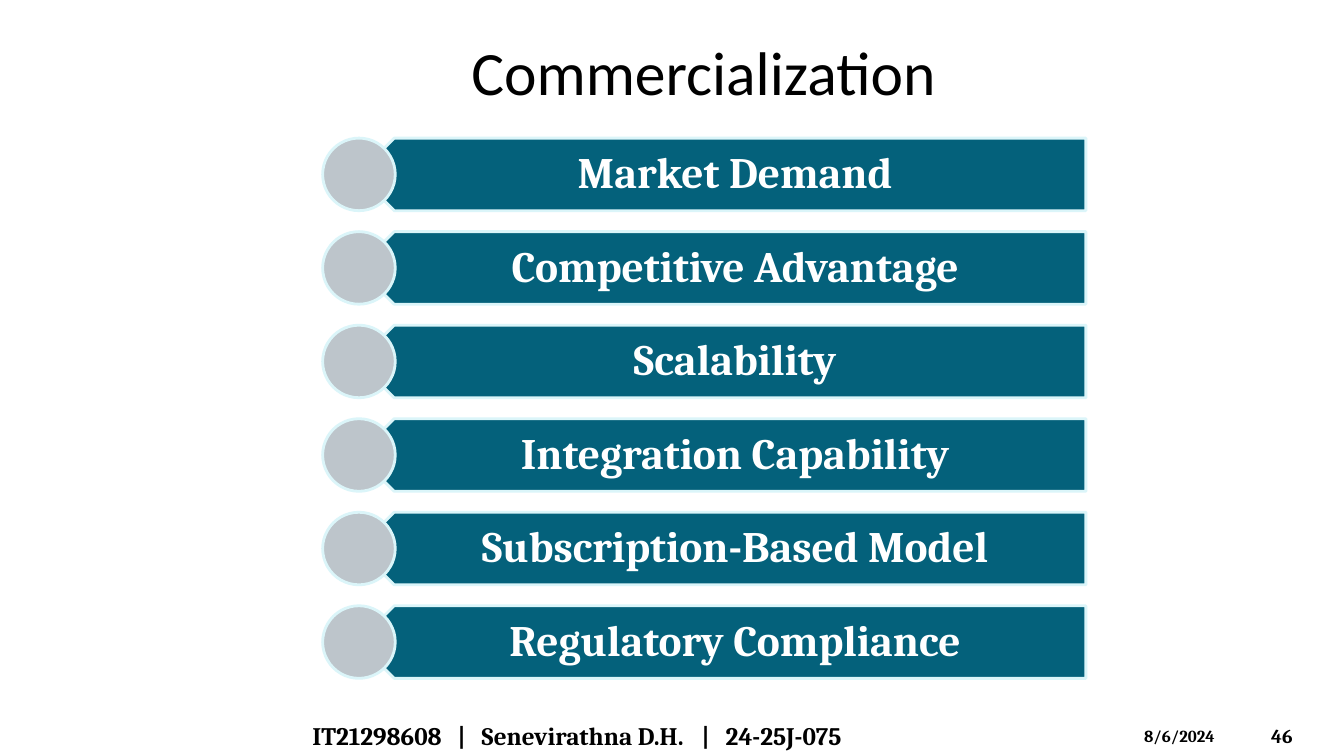
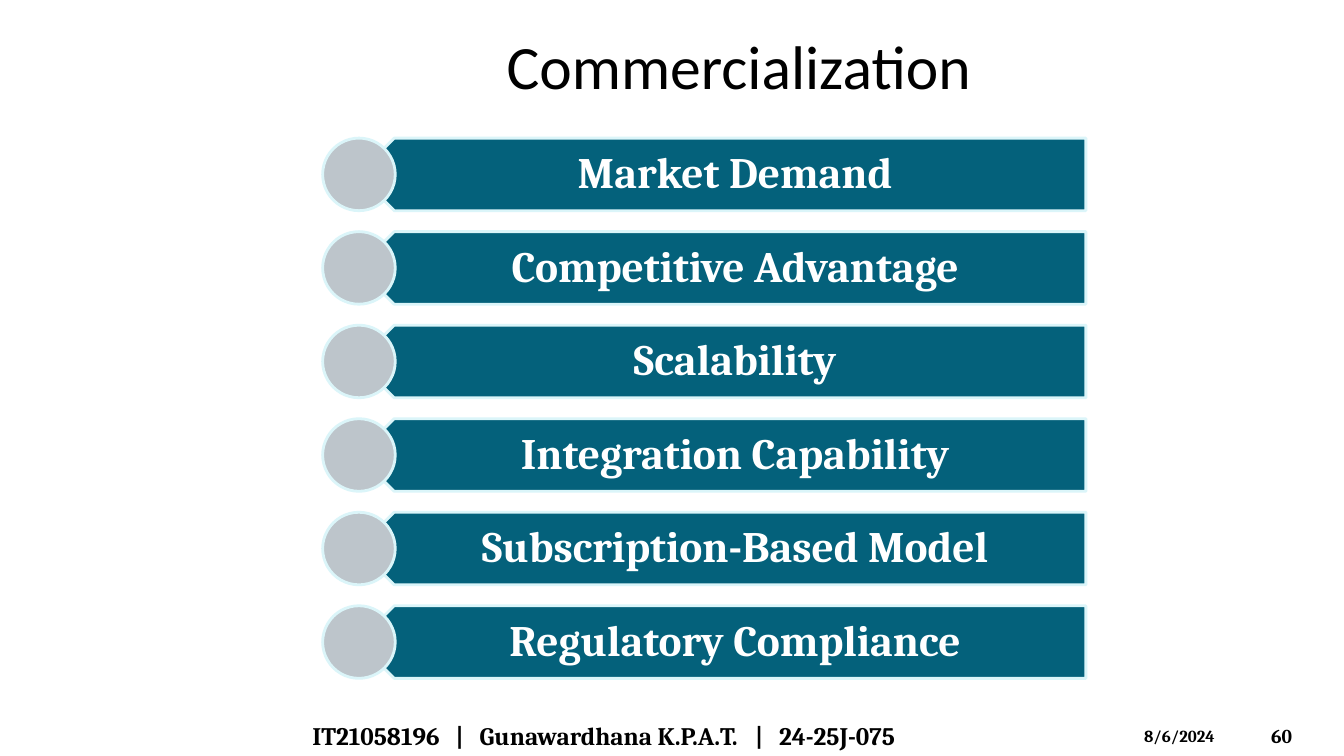
import pptx
import pptx.util
import pptx.dml.color
import pptx.enum.shapes
import pptx.enum.text
from lxml import etree

Inches = pptx.util.Inches
Pt = pptx.util.Pt
SHAPE = pptx.enum.shapes.MSO_SHAPE
ALIGN = pptx.enum.text.PP_ALIGN
ANCHOR = pptx.enum.text.MSO_ANCHOR

TITLE = "Commercialization"
DATE = "8/6/2024"
FACTORS = [
    "Market Demand",
    "Competitive Advantage",
    "Scalability",
    "Integration Capability",
    "Subscription-Based Model",
    "Regulatory Compliance",
]
SLIDES = [
    {"number": "46", "title_at": (4.51, 0.25), "columns": (1.68, 4.1),
     "author": ("IT21298608", "Senevirathna D.H.", "24-25J-075")},
    {"number": "60", "title_at": (4.86, 0.19), "columns": (1.66, 4.63),
     "author": ("IT21058196", "Gunawardhana K.P.A.T.", "24-25J-075")},
]

BLACK, WHITE = "000000", "FFFFFF"
TEAL, GREY, PALE = "04617B", "BDC5CB", "DBF5F9"
HEADING_FONT, BODY_FONT = "Calibri", "Cambria"

FIRST_TOP, LAST_TOP = 1.37, 6.01
ROW_HEIGHT = 0.72
DOT_LEFT = 3.2
BAR_LEFT, BAR_WIDTH = 3.55, 7.22
SEPARATOR_GAP = 0.24


def color(value):
    return pptx.dml.color.RGBColor.from_string(value)


def write(shape, text, size, font=BODY_FONT, fill=BLACK, bold=True,
          align=ALIGN.LEFT, anchor=ANCHOR.TOP):
    frame = shape.text_frame
    frame.word_wrap = True
    frame.vertical_anchor = anchor
    paragraph = frame.paragraphs[0]
    paragraph.text = text
    paragraph.alignment = align
    paragraph.font.name = font
    paragraph.font.size = Pt(size)
    paragraph.font.bold = bold
    paragraph.font.color.rgb = color(fill)
    return paragraph


def add_text(slide, box, text, size, **style):
    return write(slide.shapes.add_textbox(*map(Inches, box)), text, size, **style)


def add_outlined(slide, kind, box, fill):
    shape = slide.shapes.add_shape(kind, *map(Inches, box))
    shape.shadow.inherit = False
    shape.fill.solid()
    shape.fill.fore_color.rgb = color(fill)
    shape.line.color.rgb = color(PALE)
    shape.line.width = Pt(2)
    return shape


def set_tabs(paragraph, stops):
    ns = "{http://schemas.openxmlformats.org/drawingml/2006/main}"
    properties = paragraph._p.get_or_add_pPr()
    tabs = etree.Element(ns + "tabLst")
    for stop in stops:
        etree.SubElement(tabs, ns + "tab", pos=str(Inches(stop)), algn="l")
    properties.find(ns + "defRPr").addprevious(tabs)


def add_factor(slide, top, factor):
    bar = add_outlined(slide, SHAPE.PENTAGON,
                       (BAR_LEFT, top, BAR_WIDTH, ROW_HEIGHT), TEAL)
    bar._element.spPr.xfrm.set("flipH", "1")
    label = write(bar, factor, 31, fill=WHITE, align=ALIGN.CENTER,
                  anchor=ANCHOR.MIDDLE)
    label.line_spacing = 0.9
    frame = bar.text_frame
    frame.margin_left, frame.margin_right = Inches(0.32), Inches(0.24)
    frame.margin_top = frame.margin_bottom = Inches(0.13)
    add_outlined(slide, SHAPE.OVAL, (DOT_LEFT, top, ROW_HEIGHT, ROW_HEIGHT), GREY)


def add_footer(slide, content):
    author = add_text(slide, (3, 7.1, 6.67, 0.4),
                      "\t|\t".join(content["author"]), 18)
    set_tabs(author, [stop for column in content["columns"]
                      for stop in (column - SEPARATOR_GAP, column)])
    add_text(slide, (11.25, 7.15, 1.17, 0.3), DATE, 12)
    add_text(slide, (12.51, 7.1, 0.74, 0.4), content["number"], 14,
             anchor=ANCHOR.MIDDLE)


def build_slide(deck, content):
    slide = deck.slides.add_slide(deck.slide_layouts[6])
    add_text(slide, (*content["title_at"], 4.94, 0.91), TITLE, 44,
             font=HEADING_FONT, bold=False, align=ALIGN.CENTER,
             anchor=ANCHOR.MIDDLE)
    pitch = (LAST_TOP - FIRST_TOP) / (len(FACTORS) - 1)
    for row, factor in enumerate(FACTORS):
        add_factor(slide, FIRST_TOP + row * pitch, factor)
    add_footer(slide, content)


def main():
    deck = pptx.Presentation()
    deck.slide_width, deck.slide_height = Inches(13.33), Inches(7.5)
    for content in SLIDES:
        build_slide(deck, content)
    deck.save("out.pptx")


if __name__ == "__main__":
    main()
